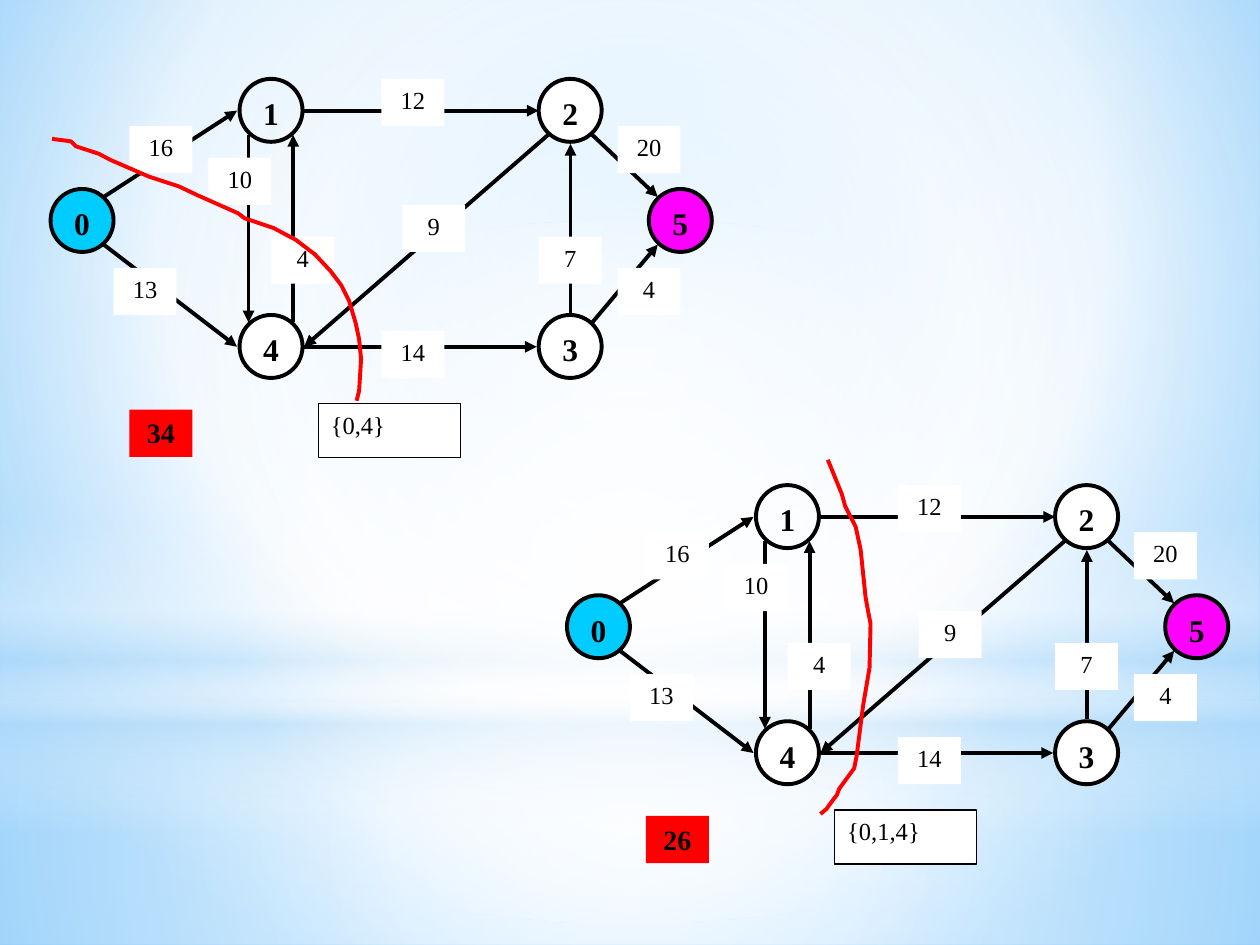
from dataclasses import dataclass
from typing import NamedTuple, Optional

from lxml import etree
from pptx import Presentation
from pptx.dml.color import RGBColor
from pptx.enum.shapes import MSO_CONNECTOR, MSO_SHAPE
from pptx.enum.text import MSO_ANCHOR, PP_ALIGN
from pptx.oxml.ns import qn
from pptx.util import Cm, Pt

OVAL, RECTANGLE = MSO_SHAPE.OVAL, MSO_SHAPE.RECTANGLE
STRAIGHT = MSO_CONNECTOR.STRAIGHT
CENTER, LEFT = PP_ALIGN.CENTER, PP_ALIGN.LEFT
TOP = MSO_ANCHOR.TOP


@dataclass(frozen=True)
class Theme:
    font: str = "Times New Roman"
    ink: str = "000000"
    paper: str = "FFFFFF"
    source: str = "00CCFF"
    sink: str = "FF00FF"
    cut: str = "FF0000"
    sky: str = "B4DCFA"
    backdrop_center: str = "9ED5FF"
    backdrop_edge: str = "5BB9FF"
    node_size: float = 18
    total_size: float = 16
    label_size: float = 14
    thick: float = 2.25
    thin: float = 0.75


THEME = Theme()


class Stop(NamedTuple):
    position: int
    color: str
    opacity: int = 100


class Box(NamedTuple):
    """A text shape; lengths in centimetres."""
    text: str
    left: float
    top: float
    width: float = 1.27
    height: float = 0.95
    kind: int = RECTANGLE
    fill: Optional[str] = THEME.paper
    line: float = 0
    size: float = THEME.label_size
    bold: bool = False
    align: int = LEFT


class Edge(NamedTuple):
    start: tuple[float, float]
    end: tuple[float, float]


class CutGraph(NamedTuple):
    left: float
    top: float
    total: str
    members: str
    cut: list[tuple[float, float]]


def node(text: str, left: float, top: float, fill: Optional[str] = THEME.paper) -> Box:
    return Box(text, left, top, 1.27, 1.27, OVAL, fill, THEME.thick,
               THEME.node_size, True, CENTER)


# The flow network, measured from its own top left corner
NODES = [node("1", 3.81, 0, None), node("4", 3.81, 4.76), node("3", 9.84, 4.76),
         node("2", 9.84, 0), node("0", 0, 2.22, THEME.source),
         node("5", 12.06, 2.22, THEME.sink)]
EDGES = [
    Edge((5.08, 0.64), (9.84, 0.64)), Edge((5.11, 5.4), (9.8, 5.4)),
    Edge((1.07, 2.38), (3.76, 0.64)), Edge((1.07, 3.34), (3.76, 5.4)),
    Edge((3.99, 1.13), (3.99, 4.91)), Edge((4.89, 4.91), (4.89, 1.13)),
    Edge((10.03, 1.13), (5.11, 5.4)), Edge((10.48, 4.71), (10.48, 1.31)),
    Edge((10.92, 1.13), (12.24, 2.38)), Edge((10.92, 4.91), (12.24, 3.34)),
]
CAPACITIES = [Box(text, left, top, align=CENTER) for text, left, top in (
    ("16", 1.59, 0.95), ("12", 6.67, 0), ("14", 6.67, 5.08), ("13", 1.27, 3.81),
    ("9", 7.09, 2.54), ("4", 4.45, 3.18), ("10", 3.18, 1.59), ("4", 11.43, 3.81),
    ("7", 9.84, 3.18), ("20", 11.43, 0.95))]

GRAPHS = [
    CutGraph(1.02, 1.59, "34", "{0,4}", [
        (0.03, 1.21), (0.41, 1.26), (0.51, 1.36), (0.97, 1.51), (1.22, 1.64),
        (1.98, 1.97), (2.59, 2.17), (2.97, 2.35), (3.78, 2.71), (3.91, 2.81),
        (4.5, 3.01), (4.95, 3.25), (5.33, 3.54), (5.64, 3.87), (5.86, 4.16),
        (6.02, 4.48), (6.15, 4.92), (6.22, 5.25), (6.26, 5.65), (6.22, 6.29),
        (6.17, 6.49)]),
    CutGraph(11.43, 9.78, "26", "{0,1,4}", [
        (5.26, -0.51), (5.54, 0.18), (5.61, 0.43), (5.82, 0.84), (5.92, 1.3),
        (6.02, 2.26), (6.07, 2.54), (6.12, 2.79), (6.1, 3.68), (5.97, 4.45),
        (5.84, 5.46), (5.79, 5.71), (5.49, 6.12), (5.44, 6.25), (5.36, 6.35),
        (5.23, 6.53), (5.11, 6.63)]),
]


def rgb(color: str) -> RGBColor:
    return RGBColor.from_string(color)


def paint_gradient(fill, owner, stops: list[Stop], focus=(50, 50, 50, 50),
                   angle: Optional[int] = None) -> None:
    """Fill along an angle, or in circles around the focus."""
    fill.gradient()
    gradient = next(owner.iter(qn("a:gradFill")))
    for child in list(gradient):
        gradient.remove(child)
    stop_list = etree.SubElement(gradient, qn("a:gsLst"))
    for stop in stops:
        entry = etree.SubElement(stop_list, qn("a:gs"), pos=str(stop.position * 1000))
        color = etree.SubElement(entry, qn("a:srgbClr"), val=stop.color)
        if stop.opacity < 100:
            etree.SubElement(color, qn("a:alpha"), val=str(stop.opacity * 1000))
    if angle is not None:
        etree.SubElement(gradient, qn("a:lin"), ang=str(angle * 60000), scaled="0")
        return
    circle = etree.SubElement(gradient, qn("a:path"), path="circle")
    sides = {side: str(value * 1000) for side, value in zip("ltrb", focus)}
    etree.SubElement(circle, qn("a:fillToRect"), **sides)


def draw_backdrop(slide) -> None:
    white, sky = THEME.paper, THEME.sky
    paint_gradient(slide.background.fill, slide.element,
                   [Stop(0, THEME.backdrop_center), Stop(60, white),
                    Stop(100, THEME.backdrop_edge)], (20, 10, 20, 60))
    layers = [
        (RECTANGLE, 14.17, 4.88, None,
         [Stop(0, white, 91), Stop(37, white, 76), Stop(100, sky, 79)]),
        (RECTANGLE, 0, 14.17, None,
         [Stop(0, white, 89), Stop(48, white, 62), Stop(100, sky, 79)]),
        (RECTANGLE, 10.46, 6.35, 90,
         [Stop(0, white, 0), Stop(29, white, 30), Stop(45, sky, 40),
          Stop(55, white, 26), Stop(65, sky, 60), Stop(100, white, 0)]),
        (OVAL, 4.45, 14.17, None, [Stop(0, white), Stop(56, white, 0)]),
    ]
    for kind, top, height, angle, stops in layers:
        shape = slide.shapes.add_shape(kind, 0, Cm(top), Cm(25.4), Cm(height))
        shape.shadow.inherit = False
        shape.line.fill.background()
        paint_gradient(shape.fill, shape.element, stops, angle=angle)


def draw_box(shapes, graph: CutGraph, box: Box) -> None:
    shape = shapes.add_shape(box.kind, Cm(graph.left + box.left), Cm(graph.top + box.top),
                             Cm(box.width), Cm(box.height))
    shape.shadow.inherit = False
    if box.fill:
        shape.fill.solid()
        shape.fill.fore_color.rgb = rgb(box.fill)
    else:
        shape.fill.background()
    if box.line:
        shape.line.color.rgb = rgb(THEME.ink)
        shape.line.width = Pt(box.line)
    else:
        shape.line.fill.background()
    shape.text_frame.vertical_anchor = TOP
    paragraph = shape.text_frame.paragraphs[0]
    paragraph.text = box.text
    paragraph.alignment = box.align
    font = paragraph.font
    font.name, font.size, font.bold = THEME.font, Pt(box.size), box.bold
    font.color.rgb = rgb(THEME.ink)


def draw_edge(shapes, graph: CutGraph, edge: Edge) -> None:
    ends = [Cm(origin + offset) for point in edge
            for origin, offset in zip((graph.left, graph.top), point)]
    connector = shapes.add_connector(STRAIGHT, *ends)
    connector.line.color.rgb = rgb(THEME.ink)
    connector.line.width = Pt(THEME.thick)
    line = next(connector.element.iter(qn("a:ln")))
    etree.SubElement(line, qn("a:tailEnd"), type="triangle")
    etree.SubElement(line.getparent(), qn("a:effectLst"))


def draw_cut(shapes, graph: CutGraph) -> None:
    points = [(Cm(graph.left + x), Cm(graph.top + y)) for x, y in graph.cut]
    builder = shapes.build_freeform(*points[0])
    builder.add_line_segments(points[1:], close=False)
    curve = builder.convert_to_shape()
    curve.shadow.inherit = False
    curve.fill.background()
    curve.line.color.rgb = rgb(THEME.cut)
    curve.line.width = Pt(THEME.thick)


def draw_graph(slide, graph: CutGraph) -> None:
    shapes = slide.shapes.add_group_shape().shapes
    total = Box(graph.total, 1.59, 6.67, fill=THEME.cut, size=THEME.total_size,
                bold=True, align=CENTER)
    members = Box(graph.members, 5.4, 6.55, 2.86, 1.09, line=THEME.thin)
    for circle in NODES:
        draw_box(shapes, graph, circle)
    for edge in EDGES:
        draw_edge(shapes, graph, edge)
    for box in [*CAPACITIES, total, members]:
        draw_box(shapes, graph, box)
    draw_cut(shapes, graph)


def main() -> None:
    presentation = Presentation()
    presentation.slide_width, presentation.slide_height = Cm(25.4), Cm(19.05)
    slide = presentation.slides.add_slide(presentation.slide_layouts[6])
    draw_backdrop(slide)
    for graph in GRAPHS:
        draw_graph(slide, graph)
    presentation.save("out.pptx")


if __name__ == "__main__":
    main()
